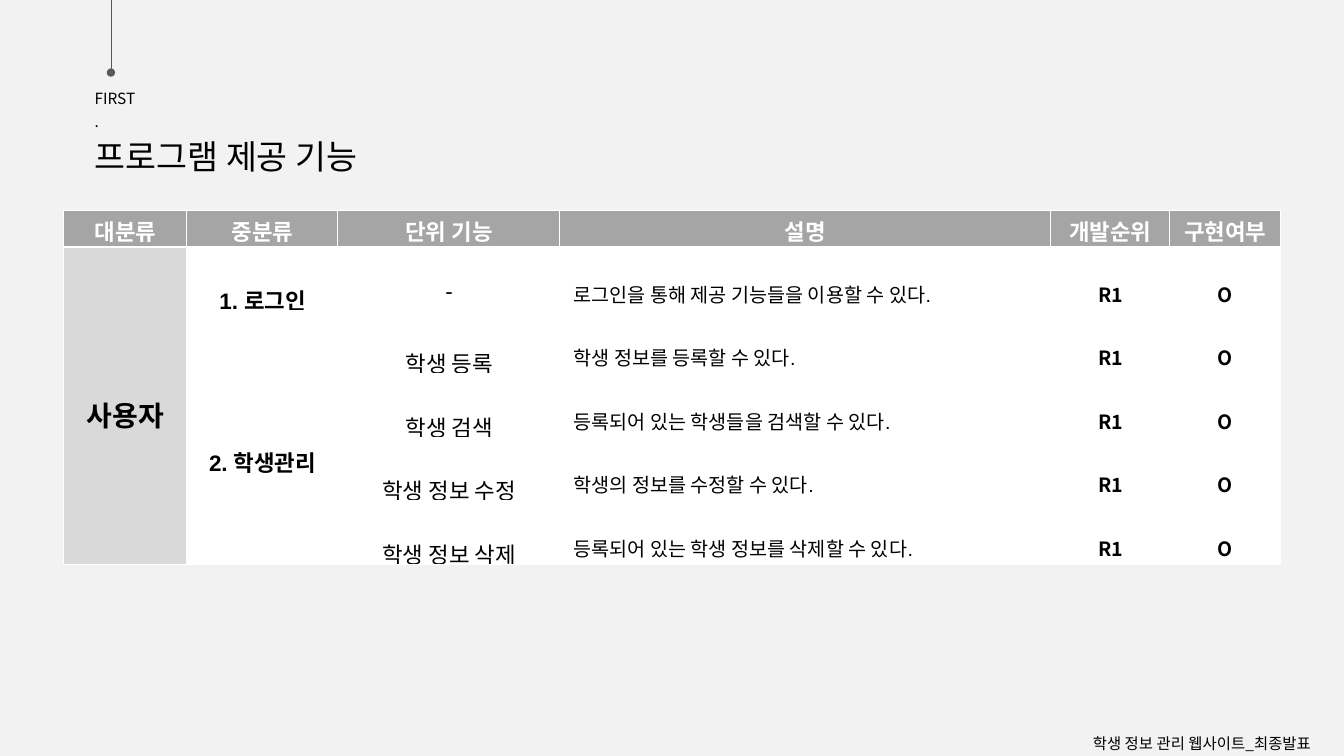
from lxml import etree
from pptx import Presentation
from pptx.dml.color import RGBColor
from pptx.enum.shapes import MSO_CONNECTOR
from pptx.enum.text import MSO_ANCHOR, MSO_AUTO_SIZE, PP_ALIGN
from pptx.oxml.ns import qn
from pptx.util import Inches, Pt

LEFT, CENTER = PP_ALIGN.LEFT, PP_ALIGN.CENTER
TOP, MIDDLE = MSO_ANCHOR.TOP, MSO_ANCHOR.MIDDLE
NOTO, ARIAL = "Noto Sans CJK KR", "Arial"
BLACK = RGBColor(0x00, 0x00, 0x00)
WHITE = RGBColor(0xFF, 0xFF, 0xFF)
PAGE_GRAY = RGBColor(0xF2, 0xF2, 0xF2)
HEADER_GRAY = RGBColor(0xA5, 0xA5, 0xA5)
USER_GRAY = RGBColor(0xD9, 0xD9, 0xD9)
LINE_GRAY = RGBColor(0x59, 0x59, 0x59)

HEADERS = ["대분류", "중분류", "단위 기능", "설명", "개발순위", "구현여부"]
COLUMN_WIDTHS = [1.22, 1.5, 2.2, 4.87, 1.18, 1.1]
HEADER_HEIGHT, ROW_HEIGHT = 0.36, 0.63
FEATURES = [
    ("-", "로그인을 통해 제공 기능들을 이용할 수 있다."),
    ("학생 등록", "학생 정보를 등록할 수 있다."),
    ("학생 검색", "등록되어 있는 학생들을 검색할 수 있다."),
    ("학생 정보 수정", "학생의 정보를 수정할 수 있다."),
    ("학생 정보 삭제", "등록되어 있는 학생 정보를 삭제할 수 있다."),
]


def write_label(box, text, size):
    frame = box.text_frame
    frame.word_wrap = False
    frame.auto_size = MSO_AUTO_SIZE.SHAPE_TO_FIT_TEXT
    frame.vertical_anchor = TOP
    para = frame.paragraphs[0]
    para.text = text
    para.alignment = LEFT
    para.line_spacing = 1.24
    para.font.size = Pt(size)
    para.font.name = NOTO
    para.font.color.rgb = BLACK


def write_cell(cell, text, size, font=NOTO, bold=True, color=BLACK, fill=WHITE,
               align=CENTER, spacing=2.0, top=0.04, left=0.04):
    cell.fill.solid()
    cell.fill.fore_color.rgb = fill
    cell.vertical_anchor = MIDDLE
    cell.margin_top, cell.margin_left = Inches(top), Inches(left)
    cell.margin_bottom = cell.margin_right = Inches(0.03)
    para = cell.text_frame.paragraphs[0]
    para.text = text
    para.alignment = align
    para.line_spacing = spacing
    para.font.size = Pt(size)
    para.font.name = font
    para.font.bold = bold
    para.font.color.rgb = color


deck = Presentation()
deck.slide_width, deck.slide_height = Inches(13.33), Inches(7.5)
page = deck.slides.add_slide(deck.slide_layouts[5])
page.background.fill.solid()
page.background.fill.fore_color.rgb = PAGE_GRAY

title = page.shapes.title
title.left, title.top = Inches(0.84), Inches(1.2)
title.width, title.height = Inches(3.13), Inches(0.55)
write_label(title, "프로그램 제공 기능", 24)

pendulum = page.shapes.add_connector(
    MSO_CONNECTOR.STRAIGHT, Inches(1.1), 0, Inches(1.1), Inches(0.72))
pendulum.line.color.rgb = LINE_GRAY
pendulum.line.width = Pt(0.25)
etree.SubElement(pendulum.line._get_or_add_ln(), qn("a:tailEnd"), type="oval")
etree.SubElement(pendulum._element.spPr, qn("a:effectLst"))

table = page.shapes.add_table(
    len(FEATURES) + 1, len(HEADERS), Inches(0.63), Inches(2.09), Inches(12.07),
    Inches(HEADER_HEIGHT + ROW_HEIGHT * len(FEATURES))).table
for column, width in zip(table.columns, COLUMN_WIDTHS):
    column.width = Inches(width)
table.rows[0].height = Inches(HEADER_HEIGHT)

for column, header in enumerate(HEADERS):
    write_cell(table.cell(0, column), header, 16, color=WHITE,
               fill=HEADER_GRAY, spacing=1.0)

for row, (feature, description) in enumerate(FEATURES, start=1):
    table.rows[row].height = Inches(ROW_HEIGHT)
    write_cell(table.cell(row, 2), feature, 16, font=ARIAL, bold=False)
    write_cell(table.cell(row, 3), description, 14, font=ARIAL, bold=False,
               align=LEFT, left=0.14)
    write_cell(table.cell(row, 4), "R1", 14)
    write_cell(table.cell(row, 5), "O", 14)

table.cell(1, 0).merge(table.cell(5, 0))
write_cell(table.cell(1, 0), "사용자", 20, fill=USER_GRAY, spacing=1.0, top=0.2)
write_cell(table.cell(1, 1), "1. 로그인", 16, font=ARIAL)
table.cell(2, 1).merge(table.cell(5, 1))
write_cell(table.cell(2, 1), "2. 학생관리", 16, font=ARIAL, top=0.2)

for text, left, top, width, height in [
    ("학생 정보 관리 웹사이트_최종발표", 10.74, 7.19, 2.59, 0.31),
    ("FIRST.", 0.84, 0.79, 0.62, 0.32),
]:
    label = page.shapes.add_textbox(
        Inches(left), Inches(top), Inches(width), Inches(height))
    write_label(label, text, 11)

deck.save("out.pptx")
